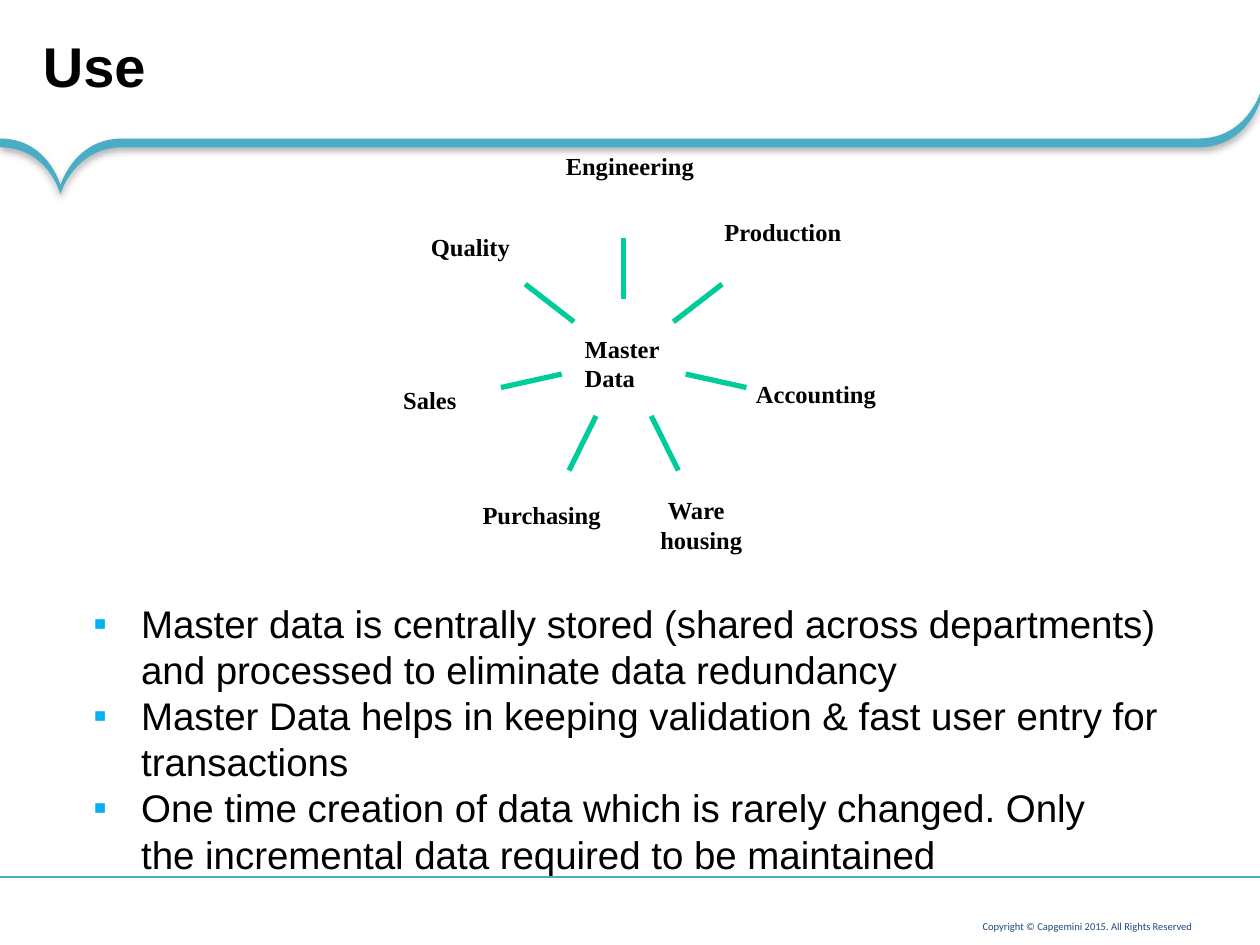
from math import cos, pi, sin

from lxml import etree
from pptx import Presentation
from pptx.dml.color import RGBColor
from pptx.enum.shapes import MSO_CONNECTOR
from pptx.enum.text import MSO_ANCHOR, MSO_AUTO_SIZE, PP_ALIGN
from pptx.oxml import parse_xml
from pptx.oxml.ns import nsdecls, qn
from pptx.util import Inches, Pt


def color(hex_string):
    return RGBColor.from_string(hex_string)


def write(shape, box, lines, font, align=PP_ALIGN.LEFT, anchor=MSO_ANCHOR.TOP,
          inset=0, spacing=1.0, bullet=None):
    """Place a text shape and fill it, one paragraph per line."""
    shape.left, shape.top, shape.width, shape.height = map(Inches, box)
    frame = shape.text_frame
    frame_format = {"word_wrap": True, "auto_size": MSO_AUTO_SIZE.NONE, "vertical_anchor": anchor}
    for side in ("left", "top", "right", "bottom"):
        frame_format["margin_" + side] = Inches(inset)
    for name, value in frame_format.items():
        setattr(frame, name, value)
    for index, line in enumerate(lines):
        paragraph = frame.add_paragraph() if index else frame.paragraphs[0]
        paragraph.text = line
        paragraph_format = {"alignment": align, "line_spacing": spacing,
                            "space_before": Pt(0), "space_after": Pt(0)}
        for name, value in paragraph_format.items():
            setattr(paragraph, name, value)
        if bullet:
            properties = paragraph._p.get_or_add_pPr()
            properties.set("marL", str(Inches(0.39)))
            properties.set("indent", str(Inches(-0.38)))
            bullet_color = etree.SubElement(properties, qn("a:buClr"))
            etree.SubElement(bullet_color, qn("a:srgbClr"), val="00B0F0")
            etree.SubElement(properties, qn("a:buFont"), typeface="Arial")
            etree.SubElement(properties, qn("a:buChar"), char=bullet)
        for run in paragraph.runs:
            for name, value in font.items():
                setattr(run.font, name, value)
            run.font.color.rgb = color("1F497D" if font["name"] == "Calibri" else "000000")


presentation = Presentation()
presentation.slide_width, presentation.slide_height = Inches(10), Inches(7.5)
slide = presentation.slides.add_slide(presentation.slide_layouts[1])
shapes = slide.shapes

# Ribbon: corners of the upper edge, each with the control points leading to it
FLAT, THICKNESS = 1.1, 0.07
VALLEY, CORNER = (0.48, 1.47), (10, 0.74)
upper = [
    ((0, FLAT), None),
    (VALLEY, [(0.38, FLAT), VALLEY]),
    ((0.97, FLAT), [VALLEY, (0.59, FLAT)]),
    ((9.51, FLAT), None),
    (CORNER, [(9.89, FLAT), CORNER]),
]
outline = list(upper)
controls = None
for (x, y), next_controls in reversed(upper):
    lowered = controls and [(cx, cy + THICKNESS) for cx, cy in reversed(controls)]
    outline.append(((x, y + THICKNESS), lowered))
    controls = next_controls
corners = [(Inches(x), Inches(y)) for (x, y), _ in outline]
builder = shapes.build_freeform(*corners[0])
builder.add_line_segments(corners[1:], close=True)
ribbon = builder.convert_to_shape()
segments = list(ribbon._element.iter(qn("a:lnTo")))
for segment, (_, controls) in zip(segments, outline[1:]):
    if controls:
        segment.tag = qn("a:cubicBezTo")
        for index, (x, y) in enumerate(controls):
            point = etree.Element(qn("a:pt"), x=str(Inches(x) - ribbon.left),
                                  y=str(Inches(y) - ribbon.top))
            segment.insert(index, point)
ribbon.fill.solid()
ribbon.fill.fore_color.rgb = color("4BACC6")
ribbon.line.fill.background()
ribbon._element.spPr.append(parse_xml(
    f'<a:effectLst {nsdecls("a")}><a:outerShdw blurRad="{Pt(4)}" dist="{Pt(2)}" dir="5400000">'
    '<a:srgbClr val="000000"><a:alpha val="31000"/></a:srgbClr></a:outerShdw></a:effectLst>'))

# Footer rule and the seven spokes around the hub
HUB_X, HUB_Y, INNER, OUTER, STRETCH = 4.95, 2.86, 0.49, 0.97, 1.03
lines = [(10, 6.96, 0, 6.96, "4BACC6", 0.75)]
for number in range(7):
    angle = number * 2 * pi / 7
    dx, dy = STRETCH * sin(angle), -cos(angle)
    lines.append((HUB_X + INNER * dx, HUB_Y + INNER * dy,
                  HUB_X + OUTER * dx, HUB_Y + OUTER * dy, "00CC99", 3))
for *ends, line_color, width in lines:
    connector = shapes.add_connector(MSO_CONNECTOR.STRAIGHT, *map(Inches, ends))
    connector.line.color.rgb = color(line_color)
    connector.line.width = Pt(width)
    etree.SubElement(connector._element.spPr, qn("a:effectLst"))

# Hub and department labels
label_font = {"name": "Times New Roman", "size": Pt(14), "bold": True}
labels = [
    ("Master\vData", 4.64, 2.65, 0.8),
    ("Engineering", 4.49, 1.2, 1.15),
    ("Production", 5.75, 1.72, 1.1),
    ("Accounting", 6, 3.01, 1.1),
    ("Ware\vhousing", 5.24, 3.93, 1.02),
    ("Purchasing", 3.83, 3.97, 1.1),
    ("Sales", 3.2, 3.06, 0.58),
    ("Quality", 3.42, 1.84, 0.8),
]
for text, left, top, width in labels:
    height = 0.47 if "\v" in text else 0.24
    label = shapes.add_textbox(0, 0, 0, 0)
    write(label, (left, top, width, height), [text], label_font)
    if text.startswith("Ware"):
        label.text_frame.paragraphs[0]._p.get_or_add_pPr().set("indent", str(Inches(0.06)))

# Title, bullet list and copyright line
write(shapes.title, (0.34, 0.25, 1.15, 0.54), ["Use"],
      {"name": "Arial", "size": Pt(32), "bold": True})
write(slide.placeholders[1], (0.73, 4.76, 8.75, 2.22), [
    "Master data is centrally stored (shared across departments) "
    "and processed to eliminate data redundancy",
    "Master Data helps in keeping validation & fast user entry for transactions",
    "One time creation of data which is rarely changed. Only\v"
    "the incremental data required to be maintained",
], {"name": "Arial", "size": Pt(22)}, bullet="▪")
write(shapes.add_textbox(0, 0, 0, 0), (6.81, 7.24, 2.69, 0.2),
      ["Copyright © Capgemini 2015. All Rights Reserved"],
      {"name": "Calibri", "size": Pt(6)}, align=PP_ALIGN.RIGHT,
      anchor=MSO_ANCHOR.BOTTOM, inset=0.04, spacing=0.9)

presentation.save("out.pptx")
